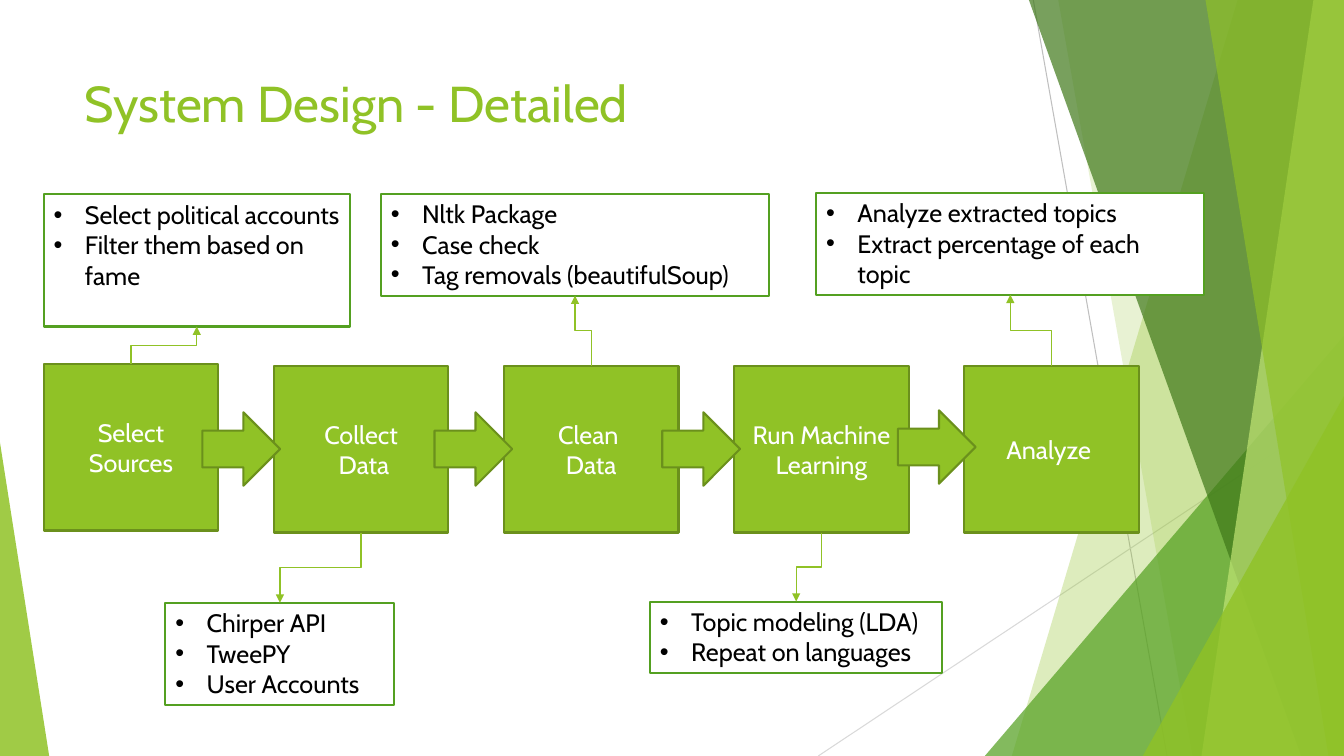
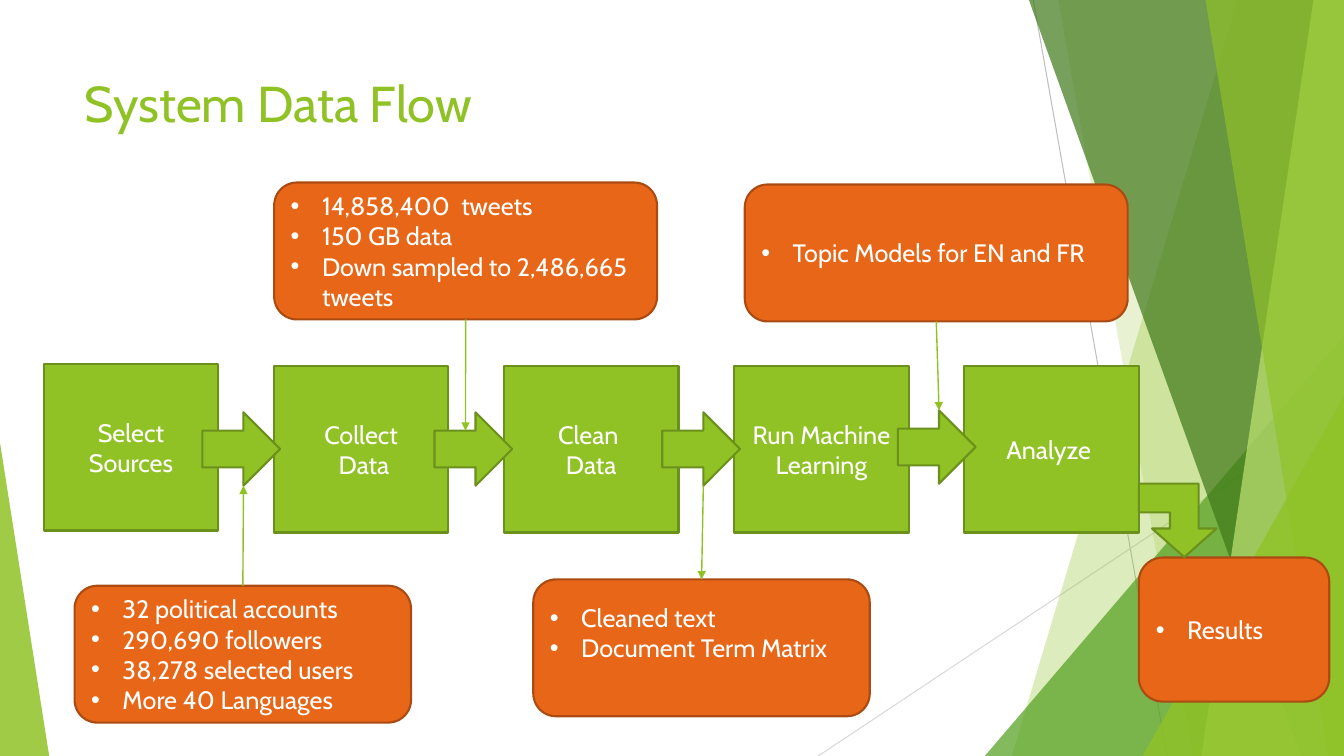
from dataclasses import dataclass

import pptx
import pptx.dml.color
import pptx.enum.shapes
import pptx.enum.text
import pptx.oxml
import pptx.oxml.ns
import pptx.util

Cm = pptx.util.Cm
Pt = pptx.util.Pt
qn = pptx.oxml.ns.qn
SHAPE = pptx.enum.shapes.MSO_SHAPE
CONNECTOR = pptx.enum.shapes.MSO_CONNECTOR
ANCHOR = pptx.enum.text.MSO_ANCHOR
ALIGN = pptx.enum.text.PP_ALIGN
TOP, BOTTOM = 0, 2
WIDTH, HEIGHT = 33.87, 19.05


@dataclass(frozen=True)
class Theme:
    font: str = "Cabin"
    title_size: float = 36
    body_size: float = 18
    outline: float = 1.5
    link: float = 1
    hairline: float = 0.75
    green: str = "90C226"
    green_edge: str = "6B901C"
    mid_green: str = "54A021"
    dark_green: str = "3F7819"
    light_green: str = "C0E474"
    orange: str = "E76618"
    orange_edge: str = "AB4B12"
    white: str = "FFFFFF"
    black: str = "000000"
    gray: str = "BFBFBF"
    light_gray: str = "D9D9D9"


def rgb(color):
    return pptx.dml.color.RGBColor.from_string(color)


def add_xml(parent, tag, **attributes):
    child = parent.makeelement(qn(tag), attributes)
    parent.append(child)
    return child


class Deck:
    def __init__(self, theme):
        self.theme = theme
        self.prs = pptx.Presentation()
        self.prs.slide_width, self.prs.slide_height = Cm(WIDTH), Cm(HEIGHT)
        self.layout = self.prs.slide_layouts[5]
        self.s = None

    def slide(self, title):
        first = self.s is None
        self.s = self.prs.slides.add_slide(self.layout)
        if first:
            self.dress_layout()
        sp = self.s.shapes.title
        sp.left, sp.top, sp.width, sp.height = Cm(1.88), Cm(1.7), Cm(23.88), Cm(3.66)
        tf = sp.text_frame
        tf.text = title
        tf.auto_size = pptx.enum.text.MSO_AUTO_SIZE.NONE
        tf.vertical_anchor = ANCHOR.TOP
        tf.paragraphs[0].alignment = ALIGN.LEFT
        self.font(tf.paragraphs[0], self.theme.title_size, self.theme.green)

    def dress_layout(self):
        t = self.theme
        for ph in list(self.layout.placeholders):
            if ph.placeholder_format.idx:
                ph.element.getparent().remove(ph.element)
        backdrop = [
            self.line((26.04, 0), (29.41, HEIGHT), t.gray, t.hairline),
            self.line((WIDTH, 10.24), (20.62, HEIGHT), t.light_gray, t.hairline),
            self.pane(31.19, 25.5, t.green, 30),
            self.pane(26.67, 30.05, t.green, 20),
            self.wedge(24.82, 8.46, WIDTH - 24.82, 1, t.mid_green, 72),
            self.pane(25.93, 32.79, t.dark_green, 70),
            self.pane(33.1, 30.28, t.light_green, 70),
            self.pane(30.38, 33.48, t.green, 65),
            self.wedge(28.8, 9.98, WIDTH - 28.8, 1, t.green, 80),
            self.wedge(0, 11.15, 1.24, 0, t.green, 85),
        ]
        for i, sp in enumerate(backdrop, 2):
            self.layout.shapes.element.insert(i, sp.element)

    def font(self, p, size, color):
        p.font.name = self.theme.font
        p.font.size = Pt(size)
        p.font.color.rgb = rgb(color)

    def paint(self, sp, fill, edge=None, opacity=100):
        sp.shadow.inherit = False
        sp.fill.solid()
        sp.fill.fore_color.rgb = rgb(fill)
        if opacity < 100:
            color = sp.element.spPr.find(qn("a:solidFill"))[0]
            add_xml(color, "a:alpha", val=str(opacity * 1000))
        if edge:
            sp.line.color.rgb = rgb(edge)
            sp.line.width = Pt(self.theme.outline)
        else:
            sp.line.fill.background()
        return sp

    def pane(self, top_x, bottom_x, color, opacity):
        builder = self.s.shapes.build_freeform(Cm(top_x), 0)
        corners = [(WIDTH, 0), (WIDTH, HEIGHT), (bottom_x, HEIGHT)]
        builder.add_line_segments([(Cm(x), Cm(y)) for x, y in corners])
        return self.paint(builder.convert_to_shape(), color, opacity=opacity)

    def wedge(self, left, top, width, apex, color, opacity):
        sp = self.shape(SHAPE.ISOSCELES_TRIANGLE, (left, top, width, HEIGHT - top))
        sp.adjustments[0] = apex
        return self.paint(sp, color, opacity=opacity)

    def shape(self, kind, box):
        return self.s.shapes.add_shape(kind, *(Cm(v) for v in box))

    def text(self, sp, lines, color, bullets=False):
        tf = sp.text_frame
        tf.word_wrap = True
        for i, words in enumerate(lines):
            p = tf.add_paragraph() if i else tf.paragraphs[0]
            p.text = words
            p.alignment = ALIGN.LEFT if bullets else ALIGN.CENTER
            if bullets:
                pPr = p._p.get_or_add_pPr()
                pPr.set("marL", str(Cm(0.79)))
                pPr.set("indent", str(-Cm(0.79)))
                add_xml(pPr, "a:buFont", typeface="Arial")
                add_xml(pPr, "a:buChar", char="•")
            self.font(p, self.theme.body_size, color)

    def stage(self, box, lines):
        t = self.theme
        sp = self.paint(self.shape(SHAPE.RECTANGLE, box), t.green, t.green_edge)
        self.text(sp, lines, t.white)
        return sp

    def arrow(self, kind, box):
        return self.paint(self.shape(kind, box), self.theme.green, self.theme.green_edge)

    def note(self, box, lines):
        t = self.theme
        sp = self.paint(self.shape(SHAPE.RECTANGLE, box), t.white, t.mid_green)
        sp.text_frame.vertical_anchor = ANCHOR.TOP
        self.text(sp, lines, t.black, bullets=True)
        return sp

    def result(self, box, lines, bottom=0.13):
        t = self.theme
        sp = self.paint(self.shape(SHAPE.ROUNDED_RECTANGLE, box), t.orange, t.orange_edge)
        sp.text_frame.margin_bottom = Cm(bottom)
        self.text(sp, lines, t.white, bullets=True)
        return sp

    def line(self, start, end, color, width, kind=CONNECTOR.STRAIGHT, head=False):
        sp = self.s.shapes.add_connector(kind, *(Cm(v) for v in (*start, *end)))
        sp.line.color.rgb = rgb(color)
        sp.line.width = Pt(width)
        if head:
            add_xml(sp.element.spPr.find(qn("a:ln")), "a:tailEnd", type="triangle")
        add_xml(sp.element.spPr, "a:effectLst")
        return sp

    def link(self, start, end, kind=CONNECTOR.STRAIGHT):
        return self.line(start, end, self.theme.green, self.theme.link, kind, head=True)

    def elbow(self, start, start_side, end, end_side):
        sp = self.link((0, 0), (1, 1), CONNECTOR.ELBOW)
        sp.begin_connect(start, start_side)
        sp.end_connect(end, end_side)
        dx, dy = sp.end_x - sp.begin_x, sp.end_y - sp.begin_y
        mid_x, mid_y = (sp.begin_x + sp.end_x) // 2, (sp.begin_y + sp.end_y) // 2
        sp.width, sp.height = abs(dy), abs(dx)
        sp.left, sp.top = mid_x - sp.width // 2, mid_y - sp.height // 2
        xfrm = sp.element.spPr.xfrm
        xfrm.rot = 90 if dy > 0 else 270
        xfrm.flipH = False
        xfrm.flipV = (dx > 0) == (dy > 0)


STAGES = [["Select Sources"], ["Collect", " Data"], ["Clean ", "Data"],
          ["Run Machine Learning"], ["Analyze "]]
ARROW_W, ARROW_H = 1.96, 1.85
ARROWS = [(5.1, 10.39), (10.95, 10.39), (16.69, 10.39), (22.63, 10.34)]

NOTES = [
    ((1.1, 4.9, 7.72, 3.33), ["Select political accounts", "Filter them based on fame"]),
    ((4.17, 15.19, 5.77, 2.57), ["Chirper API", "TweePY", "User Accounts"]),
    ((9.6, 4.88, 9.78, 2.57),
     ["Nltk Package", "Case check", "Tag removals (beautifulSoup)"]),
    ((16.38, 15.16, 7.37, 1.8), ["Topic modeling (LDA)", "Repeat on languages"]),
    ((20.57, 4.86, 9.78, 2.57),
     ["Analyze extracted topics", "Extract percentage of each topic"]),
]


def draw_stages(deck):
    return [deck.stage((1.1 + 5.8 * i, 9.22 if i else 9.17, 4.4, 4.2), lines)
            for i, lines in enumerate(STAGES)]


def draw_arrows(deck):
    for left, top in ARROWS:
        deck.arrow(SHAPE.RIGHT_ARROW, (left, top, ARROW_W, ARROW_H))


def design_slide(deck):
    deck.slide("System Design - Detailed")
    for stage, (box, lines) in zip(draw_stages(deck), NOTES):
        note = deck.note(box, lines)
        sides = (TOP, BOTTOM) if note.top < stage.top else (BOTTOM, TOP)
        deck.elbow(stage, sides[0], note, sides[1])
    draw_arrows(deck)


def data_flow_slide(deck):
    deck.slide("System Data Flow")
    draw_stages(deck)
    draw_arrows(deck)
    shoulders = [left + ARROW_W - ARROW_H / 2 for left, _ in ARROWS]
    arrow_bottom = ARROWS[0][1] + ARROW_H

    accounts = deck.result((1.88, 14.76, 8.48, 3.45), [
        "32 political accounts", "290,690 followers",
        "38,278 selected users", "More 40 Languages"])
    tweets = deck.result((6.91, 4.6, 9.65, 3.45), [
        "14,858,400  tweets", "150 GB data", "Down sampled to 2,486,665 tweets"])
    cleaned = deck.result((13.44, 14.6, 8.48, 3.45),
                          ["Cleaned text", "Document Term Matrix"], bottom=0.89)
    models = deck.result((18.77, 4.65, 9.65, 3.45), ["Topic Models for EN and FR"])
    deck.result((28.7, 14.05, 4.8, 3.63), ["Results"])

    for sp, side, target in [
        (accounts, TOP, (shoulders[0], arrow_bottom)),
        (tweets, BOTTOM, (11.73, ARROWS[1][1] + ARROW_H / 4)),
        (models, BOTTOM, (shoulders[3], ARROWS[3][1])),
    ]:
        deck.link(target, target).begin_connect(sp, side)
    source = (shoulders[2], arrow_bottom)
    deck.link(source, source).end_connect(cleaned, TOP)

    turn = deck.arrow(SHAPE.BENT_UP_ARROW, (28.7, 12.19, ARROW_W, ARROW_H))
    for i, value in enumerate((0.39, 0.44, 0.39)):
        turn.adjustments[i] = value
    turn.element.spPr.xfrm.flipV = True


def main():
    deck = Deck(Theme())
    design_slide(deck)
    data_flow_slide(deck)
    deck.prs.save("out.pptx")


if __name__ == "__main__":
    main()
